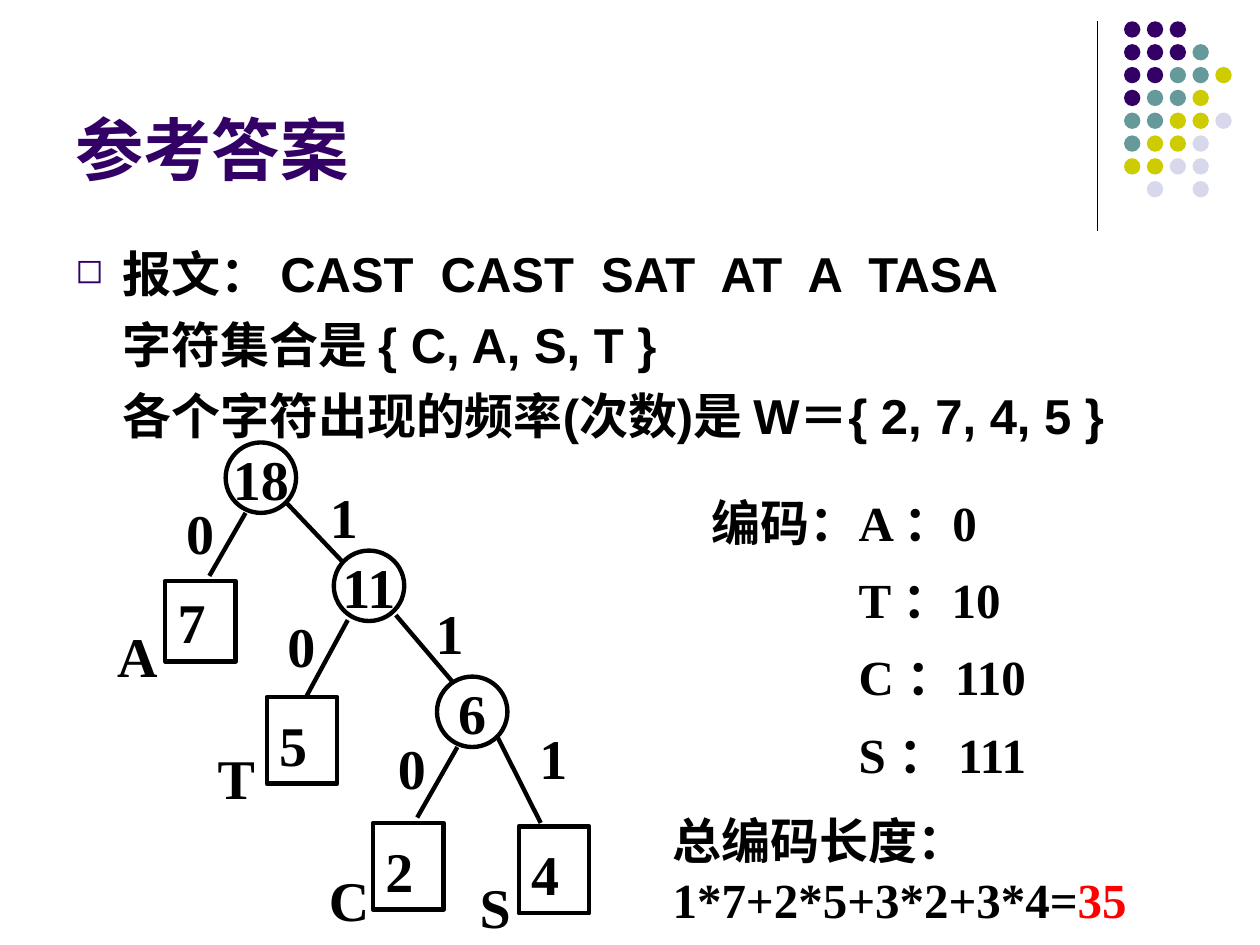
from lxml.etree import SubElement
from pptx import Presentation
from pptx.dml.color import RGBColor
from pptx.enum.shapes import MSO_CONNECTOR as Connector, MSO_SHAPE as Shape
from pptx.enum.text import MSO_ANCHOR as Anchor, PP_ALIGN as Align
from pptx.oxml.ns import qn
from pptx.util import Cm, Pt

INK, PURPLE, RED = "000000", "330066", "FF0000"
DOT_COLOURS = {"P": PURPLE, "T": "669999", "Y": "CCCC00", "L": "D8D8EC"}
DOT_ROWS = ("PPP", "PPPT", "PPTTY", "PTTY", "TTYYL", "TYYL", "YYLL", " L L")
SANS, SERIF = "Arial", "Times New Roman"
NODE = 1.42
INNER_NODES = (("18", 4.55, 8.92), ("11", 6.73, 11.1), ("6", 8.81, 13.64))
LEAVES = (
    ("7", 3.33, 11.71, 1.63, 1.0),
    ("5", 5.38, 14.05, 1.75, 1.1),
    ("2", 7.52, 16.59, 1.75, 1.1),
    ("4", 10.46, 16.66, 1.75, 1.1),
)
BRANCHES = (
    (4.95, 10.34, 4.22, 11.61),
    (5.77, 10.13, 6.91, 11.33),
    (7.01, 12.5, 6.17, 14.05),
    (7.98, 12.4, 9.12, 13.74),
    (9.22, 15.06, 8.41, 16.48),
    (10.03, 14.86, 10.9, 16.59),
)
BITS = (
    ("0", 3.12, 9.93), ("1", 6.02, 9.6),
    ("0", 5.16, 12.19), ("1", 8.15, 11.94),
    ("0", 7.39, 14.66), ("1", 10.24, 14.45),
)
LETTERS = (("A", 2.11, 12.4), ("T", 4.14, 14.86), ("C", 6.38, 17.32), ("S", 9.42, 17.45))


def colour(code):
    """Turn a hex string into a colour."""
    return RGBColor.from_string(code)


def apply(target, formats):
    """Set every attribute named in a dict of format values."""
    for name, value in formats.items():
        setattr(target, name, value)


class Sheet:
    """Hold the style and the current slide."""

    def __init__(self, slide):
        """Keep the slide and the inset and line styles."""
        self.slide = slide
        self.shapes = slide.shapes
        self.insets = {"margin_left": Cm(0.25), "margin_right": Cm(0.25),
                       "margin_top": Cm(0.13), "margin_bottom": Cm(0.13)}
        self.tree_line = 2.5

    def fill_paragraph(self, paragraph, runs, size, face, formats):
        """Fill a paragraph with (words, colour) runs."""
        apply(paragraph, formats)
        for words, tint in runs:
            run = paragraph.add_run()
            run.text = words
            apply(run.font, {"name": face, "size": Pt(size), "bold": True})
            run.font.color.rgb = colour(tint)

    def title(self, words, left, top, width, height):
        """Move and format the title placeholder."""
        heading = self.shapes.title
        apply(heading, {"left": Cm(left), "top": Cm(top),
                        "width": Cm(width), "height": Cm(height)})
        apply(heading.text_frame, {**self.insets, "vertical_anchor": Anchor.BOTTOM})
        self.fill_paragraph(heading.text_frame.paragraphs[0], [(words, PURPLE)], 39, SANS,
                            {"alignment": Align.LEFT})

    def text(self, lines, box, size=28, face=SERIF, gap=0, align=Align.LEFT):
        """Add a text box of (runs, indent in cm) lines and return its paragraphs."""
        frame = self.shapes.add_textbox(*map(Cm, box)).text_frame
        apply(frame, {**self.insets, "word_wrap": True})
        for index, (runs, indent) in enumerate(lines):
            paragraph = frame.add_paragraph() if index else frame.paragraphs[0]
            paragraph._p.get_or_add_pPr().set("marL", str(Cm(indent)))
            self.fill_paragraph(paragraph, runs, size, face,
                                {"alignment": align, "space_before": Pt(gap if index else 0)})
        return frame.paragraphs

    def label(self, words, left, top, width=1.63, align=Align.LEFT):
        """Add one large tree label."""
        self.text([([(words, INK)], 0)], (left, top, width, 1.63), size=32, align=align)

    def bullet(self, paragraph, symbol, hang):
        """Give a paragraph a hanging coloured bullet."""
        properties = paragraph._p.get_or_add_pPr()
        properties.set("indent", str(-Cm(hang)))
        tint = SubElement(properties, qn("a:buClr"))
        SubElement(tint, qn("a:srgbClr"), val=PURPLE)
        SubElement(properties, qn("a:buSzPct"), val="70000")
        SubElement(properties, qn("a:buChar"), char=symbol)

    def dot(self, tint, left, top, size):
        """Add a filled dot."""
        dot = self.shapes.add_shape(Shape.OVAL, *map(Cm, (left, top, size, size)))
        dot.shadow.inherit = False
        dot.fill.solid()
        dot.fill.fore_color.rgb = colour(tint)
        dot.line.fill.background()

    def node(self, kind, weight, box, align, frame_formats, spacing=1.0):
        """Add an outlined tree node holding its weight."""
        node = self.shapes.add_shape(kind, *map(Cm, box))
        node.shadow.inherit = False
        node.fill.background()
        node.line.color.rgb = colour(INK)
        node.line.width = Pt(self.tree_line)
        apply(node.text_frame, frame_formats)
        self.fill_paragraph(node.text_frame.paragraphs[0], [(weight, INK)], 32, SERIF,
                            {"alignment": align, "line_spacing": spacing})

    def line(self, ends, width):
        """Add a straight line without shadow."""
        line = self.shapes.add_connector(Connector.STRAIGHT, *map(Cm, ends))
        line.line.color.rgb = colour(INK)
        line.line.width = Pt(width)
        SubElement(line._element.spPr, qn("a:effectLst"))


def main():
    """Build and save the Huffman answer slide."""
    deck = Presentation()
    apply(deck, {"slide_width": Cm(25.4), "slide_height": Cm(19.05)})
    sheet = Sheet(deck.slides.add_slide(deck.slide_layouts[5]))

    sheet.line((22.12, 0.43, 22.12, 4.65), 0.75)
    for row, marks in enumerate(DOT_ROWS):
        for column, mark in enumerate(marks):
            if mark in DOT_COLOURS:
                sheet.dot(DOT_COLOURS[mark], 22.66 + 0.46 * column, 0.43 + 0.46 * row, 0.33)

    sheet.title("参考答案", 1.27, 0.33, 20.96, 3.61)
    message = ("报文： CAST  CAST  SAT  AT  A  TASA",
               "字符集合是 { C, A, S, T }",
               "各个字符出现的频率(次数)是 W＝{ 2, 7, 4, 5 }")
    statement = sheet.text([([(words, INK)], 0.95) for words in message],
                           (1.27, 4.78, 23.4, 4.3), face=SANS, gap=7)
    sheet.bullet(statement[0], "◻", 0.95)

    codes = (("编码：A ：0", 0), ("T ：10", 2.96), ("C ：110", 2.96), ("S ： 111", 2.96))
    sheet.text([([(words, INK)], indent) for words, indent in codes],
               (14.1, 9.8, 7.49, 7.29), gap=10.5)
    sheet.text([([("总编码长度：1*7+2*5+3*2+3*4=", INK), ("35", RED)], 0)],
               (13.31, 16.21, 11, 2.64))

    for ends in BRANCHES:
        sheet.line(ends, sheet.tree_line)
    centred = {**dict.fromkeys(sheet.insets, 0), "vertical_anchor": Anchor.MIDDLE,
               "word_wrap": False}
    for weight, left, top in INNER_NODES:
        sheet.node(Shape.OVAL, weight, (left, top, NODE, NODE), Align.CENTER, centred)
    for weight, left, top, height, spacing in LEAVES:
        sheet.node(Shape.RECTANGLE, weight, (left, top, NODE, height), Align.LEFT,
                   {**sheet.insets, "vertical_anchor": Anchor.TOP}, spacing)
    for bit, left, top in BITS:
        sheet.label(bit, left, top, 1.83, Align.CENTER)
    for letter, left, top in LETTERS:
        sheet.label(letter, left, top)

    deck.save("out.pptx")


if __name__ == "__main__":
    main()
